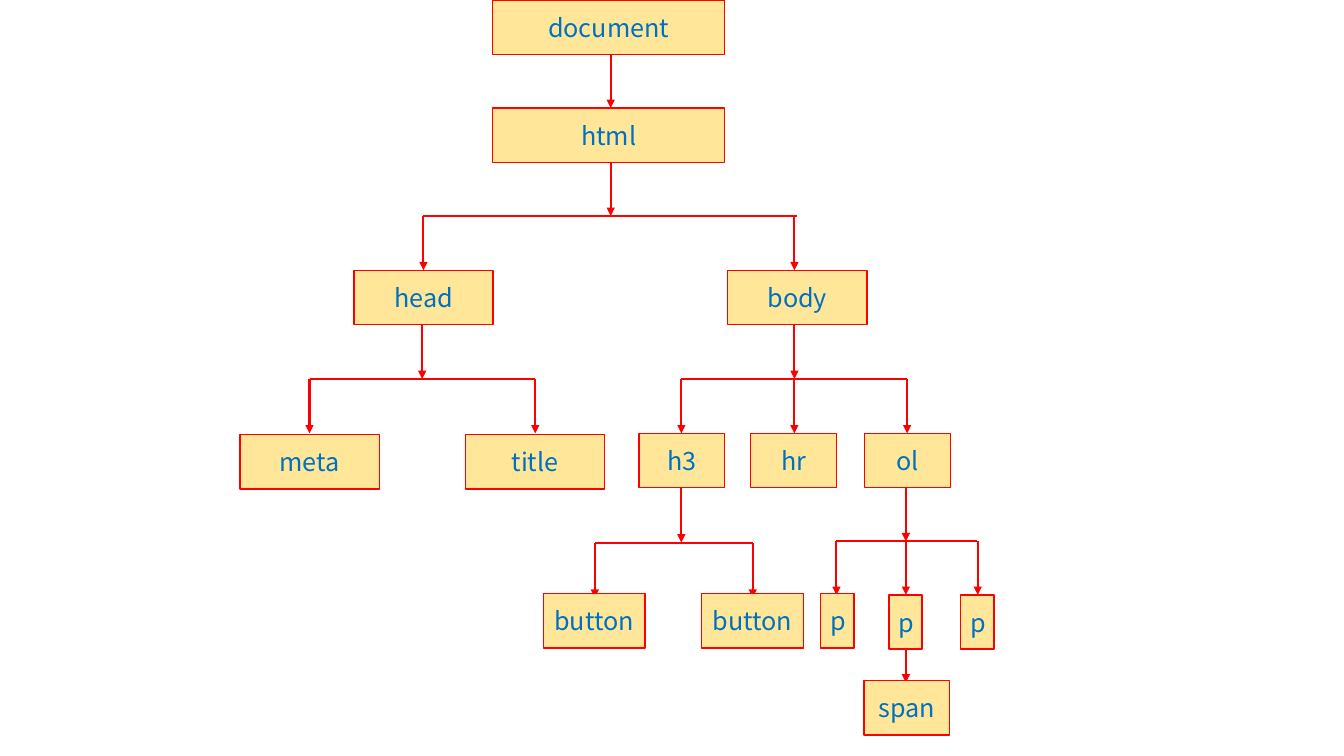
"""Build a slide showing the DOM tree of an HTML document."""
from lxml import etree
from pptx import Presentation
from pptx.dml.color import RGBColor
from pptx.enum.shapes import MSO_CONNECTOR, MSO_SHAPE
from pptx.enum.text import MSO_ANCHOR, PP_ALIGN
from pptx.oxml.ns import qn
from pptx.util import Cm, Pt

RED = RGBColor(0xFF, 0x00, 0x00)
YELLOW = RGBColor(0xFF, 0xE6, 0x99)
BLUE = RGBColor(0x00, 0x70, 0xC0)
FONT_FORMAT = {"name": "Noto Sans CJK KR", "size": Pt(18)}
BOX_HEIGHT = 1.37

# Each node: tag, left, top, width
NODES = [
    ("document", 12.42, 0, 5.84),
    ("html", 12.42, 2.72, 5.84),
    ("head", 8.92, 6.81, 3.51),
    ("body", 18.34, 6.81, 3.51),
    ("meta", 6.05, 10.95, 3.51),
    ("title", 11.73, 10.95, 3.51),
    ("h3", 16.1, 10.92, 2.16),
    ("hr", 18.92, 10.92, 2.16),
    ("ol", 21.79, 10.92, 2.16),
    ("button", 13.69, 14.96, 2.57),
    ("button", 17.68, 14.96, 2.57),
    ("p", 20.68, 14.96, 0.84),
    ("p", 22.4, 14.99, 0.84),
    ("p", 24.21, 14.99, 0.84),
    ("span", 21.77, 17.15, 2.16),
]

# Each stem: x, top, bottom
STEMS = [
    (15.39, 1.37, 2.72),
    (15.39, 4.09, 5.44),
    (10.64, 8.2, 9.55),
    (20.02, 8.2, 9.55),
    (17.17, 12.29, 13.67),
    (22.83, 12.27, 13.64),
    (22.83, 16.36, 17.2),
]

# Each branch: bar y, bar right end, arrow bottom, arrow x positions
BRANCHES = [
    (5.44, 20.09, 6.81, (10.67, 20.02)),
    (9.55, 13.49, 10.92, (7.8, 13.49)),
    (9.55, 22.86, 10.92, (17.17, 20.02, 22.86)),
    (13.69, 18.97, 15.06, (14.99, 18.97)),
    (13.64, 24.61, 14.99, (21.08, 22.83, 24.64)),
]


def add_line(slide, start_x, start_y, end_x, end_y, arrow=True):
    connector = slide.shapes.add_connector(
        MSO_CONNECTOR.STRAIGHT, Cm(start_x), Cm(start_y), Cm(end_x), Cm(end_y)
    )
    connector.line.color.rgb = RED
    connector.line.width = Pt(1.5)
    if arrow:
        line_element = connector.line._get_or_add_ln()
        etree.SubElement(line_element, qn("a:tailEnd"), type="triangle")
    properties = connector._element.find(qn("p:spPr"))
    etree.SubElement(properties, qn("a:effectLst"))


def add_node(slide, tag, left, top, width):
    shape = slide.shapes.add_shape(
        MSO_SHAPE.RECTANGLE, Cm(left), Cm(top), Cm(width), Cm(BOX_HEIGHT)
    )
    shape.shadow.inherit = False
    shape.fill.solid()
    shape.fill.fore_color.rgb = YELLOW
    shape.line.color.rgb = RED
    shape.line.width = Pt(1)
    shape.text_frame.vertical_anchor = MSO_ANCHOR.MIDDLE
    paragraph = shape.text_frame.paragraphs[0]
    paragraph.alignment = PP_ALIGN.CENTER
    run = paragraph.add_run()
    run.text = tag
    run.font.color.rgb = BLUE
    for attribute, value in FONT_FORMAT.items():
        setattr(run.font, attribute, value)


presentation = Presentation()
presentation.slide_width = Cm(33.87)
presentation.slide_height = Cm(19.05)
slide = presentation.slides.add_slide(presentation.slide_layouts[6])

for x, top, bottom in STEMS:
    add_line(slide, x, top, x, bottom)

for bar_y, bar_right, bottom, arrow_positions in BRANCHES:
    add_line(slide, arrow_positions[0], bar_y, bar_right, bar_y, arrow=False)
    for x in arrow_positions:
        add_line(slide, x, bar_y, x, bottom)

for tag, left, top, width in NODES:
    add_node(slide, tag, left, top, width)

presentation.save("out.pptx")
